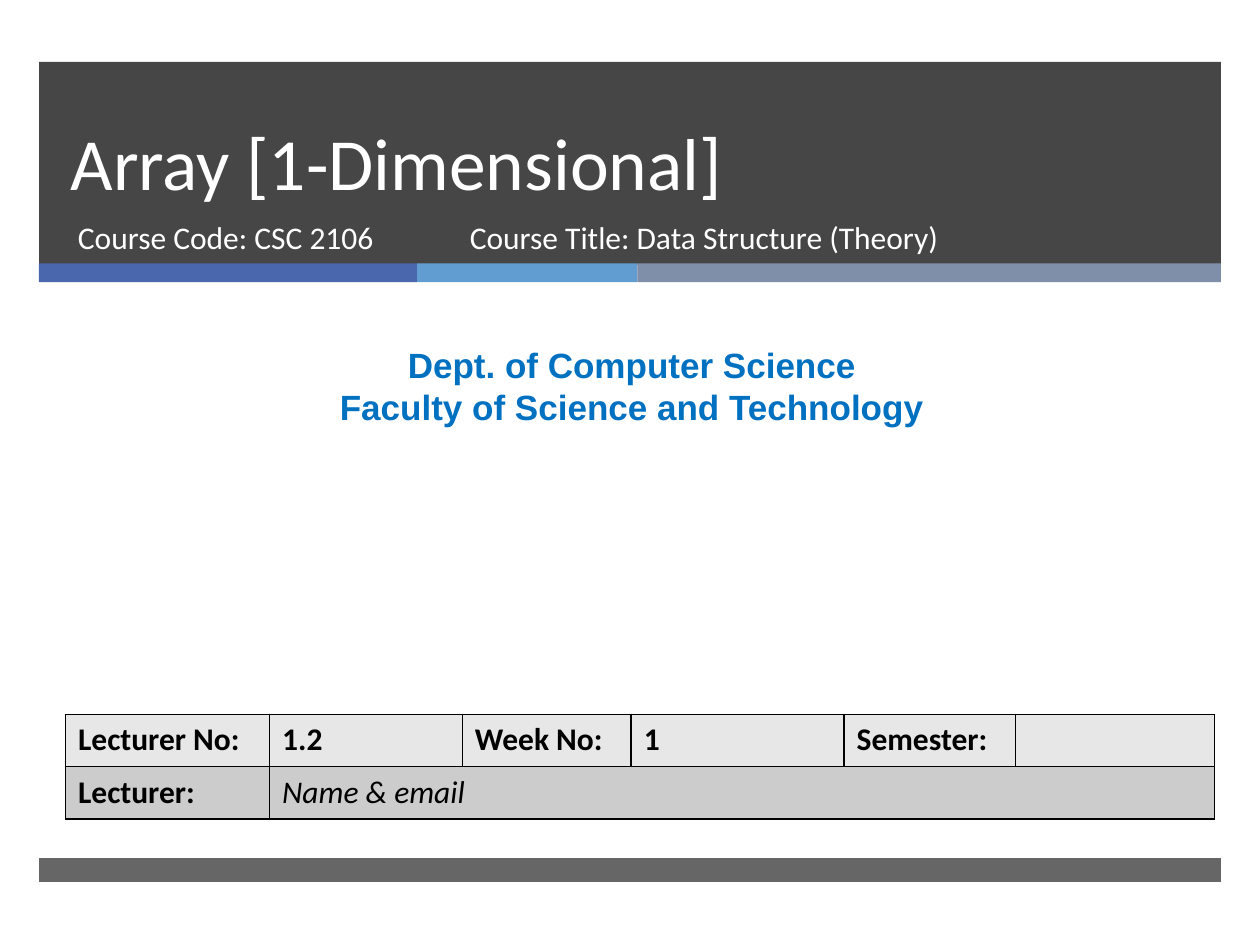
import pptx
import pptx.dml.color
import pptx.enum.shapes
import pptx.enum.text
import pptx.oxml
import pptx.oxml.ns
import pptx.util

Inches = pptx.util.Inches
Align = pptx.enum.text.PP_ALIGN
Anchor = pptx.enum.text.MSO_ANCHOR

theme = {
    "dark": "262626", "blue": "4A66AC", "sky": "629DD1", "slate": "7F8FA9",
    "white": "FFFFFF", "dept": "0070C0", "black": "000000",
    "light": "E7E7E7", "grey": "CCCCCC",
    "head": 42, "lead": 46, "mid": 20, "body": 18,
    "font": "Calibri", "sans": "Arial",
}


def tint(fill, name):
    fill.solid()
    fill.fore_color.rgb = pptx.dml.color.RGBColor.from_string(theme[name])


def write(frame, lines, size, color, font="font", align=Align.LEFT, **style):
    """Fill a text frame with one formatted run per paragraph."""
    frame.word_wrap = True
    for i, line in enumerate(lines):
        para = frame.paragraphs[0] if i == 0 else frame.add_paragraph()
        para.alignment = align
        run = para.add_run()
        run.text = line
        look = {"size": pptx.util.Pt(theme[size]), "name": theme[font], **style}
        for key, value in look.items():
            setattr(run.font, key, value)
        tint(run.font.fill, color)


deck = pptx.Presentation()
deck.slide_width, deck.slide_height = Inches(10), Inches(7.5)
slide = deck.slides.add_slide(deck.slide_layouts[5])

# Header band, three-part stripe and footer band
bands = [
    (0.31, 0.49, 9.38, 1.61, "dark", 85),
    (0.31, 2.09, 3, 0.15, "blue", 100),
    (3.31, 2.09, 1.75, 0.15, "sky", 100),
    (5.06, 2.09, 4.63, 0.15, "slate", 100),
    (0.31, 6.81, 9.38, 0.19, "dark", 70),
]
for *box, color, alpha in bands:
    band = slide.shapes.add_shape(
        pptx.enum.shapes.MSO_SHAPE.RECTANGLE, *map(Inches, box))
    band.shadow.inherit = False
    band.line.fill.background()
    tint(band.fill, color)
    if alpha < 100:
        tone = band.fill._xPr.find(".//" + pptx.oxml.ns.qn("a:srgbClr"))
        tone.append(pptx.oxml.parse_xml(
            f'<a:alpha {pptx.oxml.ns.nsdecls("a")} val="{alpha * 1000}"/>'))

# Title, brought in front of the header band
title = slide.shapes.title
place = {"left": 0.46, "top": 0.49, "width": 8.54, "height": 1.19}
for key, value in place.items():
    setattr(title, key, Inches(value))
slide.shapes.element.append(title.element)
title.text_frame.auto_size = pptx.enum.text.MSO_AUTO_SIZE.NONE
title.text_frame.vertical_anchor = Anchor.BOTTOM
write(title.text_frame, ["Array [1-Dimensional]"], "head", "white")
title.text_frame.paragraphs[0].line_spacing = pptx.util.Pt(theme["lead"])

# Course details and department
course = {"size": "body", "color": "white"}
dept = {"size": "mid", "color": "dept", "font": "sans",
        "align": Align.CENTER, "bold": True}
notes = [
    ((0.52, 1.68, 3.05, 0.53), ["Course Code: CSC 2106"], course),
    ((3.63, 1.68, 4.55, 0.53), ["Course Title: Data Structure (Theory)"], course),
    ((0.08, 2.68, 9.87, 0.77),
     ["Dept. of Computer Science", "Faculty of Science and Technology"], dept),
]
for box, lines, style in notes:
    note = slide.shapes.add_textbox(*map(Inches, box))
    write(note.text_frame, lines, **style)

# Lecture table
rows = [
    ["Lecturer No:", "1.2", "Week No:", "1", "Semester:", ""],
    ["Lecturer:", "Name & email", "", "", "", ""],
]
widths = [1.62, 1.53, 1.34, 1.69, 1.36, 1.58]
table = slide.shapes.add_table(
    len(rows), len(widths), Inches(0.52), Inches(5.67),
    Inches(sum(widths)), Inches(0.83)).table
for col, width in zip(table.columns, widths):
    col.width = Inches(width)
for r, row in enumerate(rows):
    table.rows[r].height = Inches(0.415)
    for c, text in enumerate(row):
        cell = table.cell(r, c)
        cell.vertical_anchor = Anchor.TOP
        props = cell._tc.get_or_add_tcPr()
        for side in ("lnL", "lnR", "lnT", "lnB"):
            props.append(pptx.oxml.parse_xml(
                f'<a:{side} {pptx.oxml.ns.nsdecls("a")} w="12700"><a:solidFill>'
                f'<a:srgbClr val="{theme["black"]}"/></a:solidFill></a:{side}>'))
        tint(cell.fill, ("light", "grey")[r])
        if text:
            name = (r, c) == (1, 1)
            write(cell.text_frame, [text], "body", "black",
                  bold=not name, italic=name)
table.cell(1, 1).merge(table.cell(1, 5))

deck.save("out.pptx")
